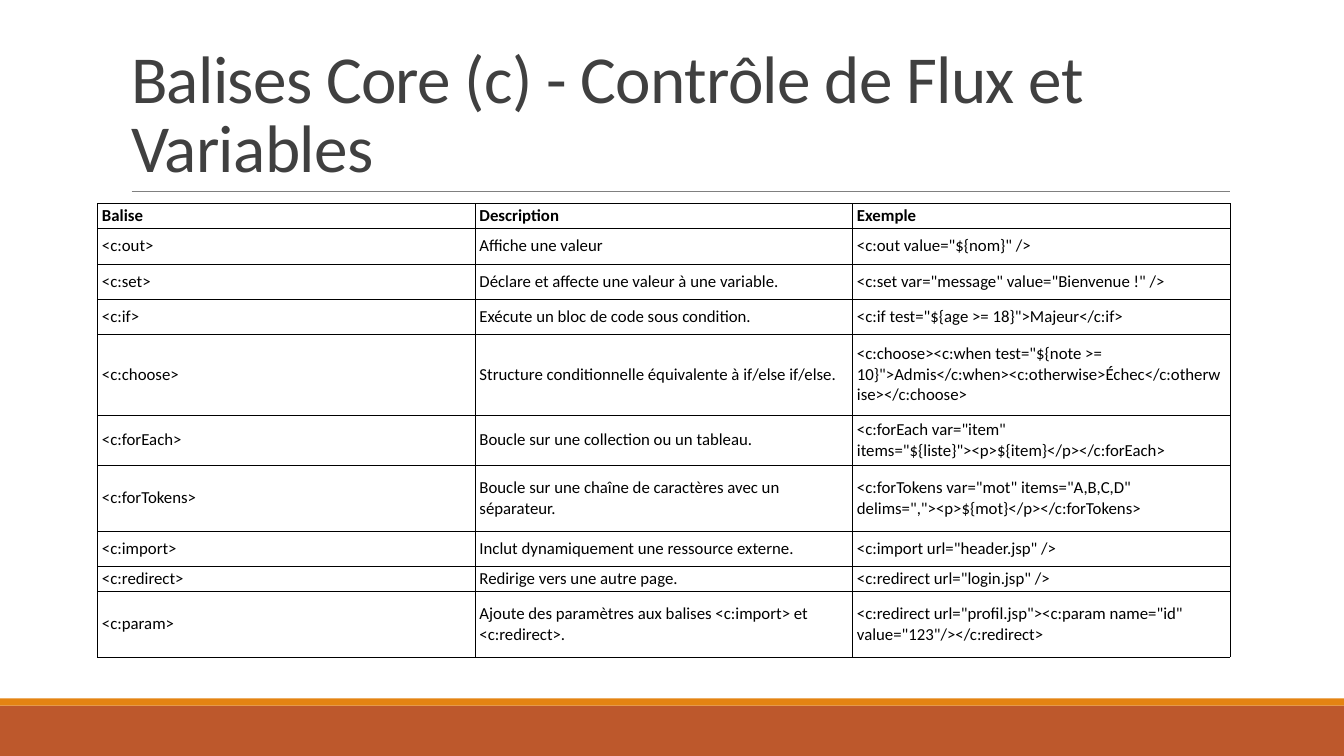
from lxml.etree import SubElement
from pptx import Presentation
from pptx.dml.color import RGBColor
from pptx.enum.shapes import MSO_CONNECTOR as Connector, MSO_SHAPE as Shape
from pptx.enum.text import MSO_ANCHOR as Anchor, MSO_AUTO_SIZE as AutoSize, PP_ALIGN as Align
from pptx.oxml.ns import qn
from pptx.util import Cm, Pt

TAGS = [
    ("Balise", "Description", "Exemple"),
    ("<c:out>", "Affiche une valeur", '<c:out value="${nom}" />'),
    ("<c:set>", "Déclare et affecte une valeur à une variable.",
     '<c:set var="message" value="Bienvenue !" />'),
    ("<c:if>", "Exécute un bloc de code sous condition.",
     '<c:if test="${age >= 18}">Majeur</c:if>'),
    ("<c:choose>", "Structure conditionnelle équivalente à if/else if/else.",
     '<c:choose><c:when test="${note >= 10}">Admis</c:when>'
     "<c:otherwise>Échec</c:otherwise></c:choose>"),
    ("<c:forEach>", "Boucle sur une collection ou un tableau.",
     '<c:forEach var="item" items="${liste}"><p>${item}</p></c:forEach>'),
    ("<c:forTokens>", "Boucle sur une chaîne de caractères avec un séparateur.",
     '<c:forTokens var="mot" items="A,B,C,D" delims=","><p>${mot}</p></c:forTokens>'),
    ("<c:import>", "Inclut dynamiquement une ressource externe.",
     '<c:import url="header.jsp" />'),
    ("<c:redirect>", "Redirige vers une autre page.", '<c:redirect url="login.jsp" />'),
    ("<c:param>", "Ajoute des paramètres aux balises <c:import> et <c:redirect>.",
     '<c:redirect url="profil.jsp"><c:param name="id" value="123"/></c:redirect>'),
]
TAG_HEIGHTS = [0.51, 0.89, 0.89, 0.89, 2.03, 1.27, 1.65, 0.89, 0.51, 1.65]


def color(code):
    return RGBColor.from_string(code)


def apply(target, values):
    for name, value in values.items():
        setattr(target, name, value)


class TagSlide:
    """Draws the elements of one slide in a shared style."""

    font = "Calibri"
    ink = "000000"

    def __init__(self, deck):
        self.slide = deck.slides.add_slide(deck.slide_layouts[5])
        self.shapes = self.slide.shapes

    def style(self, paragraph, size, ink, bold=False):
        apply(paragraph.font, {"name": self.font, "size": Pt(size), "bold": bold})
        paragraph.font.color.rgb = color(ink)

    def band(self, top, height, fill):
        band = self.shapes.add_shape(Shape.RECTANGLE, 0, Cm(top), Cm(33.87), Cm(height))
        band.shadow.inherit = False
        band.fill.solid()
        band.fill.fore_color.rgb = color(fill)
        band.line.fill.background()

    def rule(self, left, right, y, ink, width):
        rule = self.shapes.add_connector(
            Connector.STRAIGHT, Cm(left), Cm(y), Cm(right), Cm(y))
        rule.line.color.rgb = color(ink)
        rule.line.width = Pt(width)
        SubElement(rule._element.spPr, qn("a:effectLst"))

    def title(self, text, left, top, width, height):
        title = self.shapes.title
        apply(title, {"left": Cm(left), "top": Cm(top),
                      "width": Cm(width), "height": Cm(height)})
        apply(title.text_frame, {"text": text, "word_wrap": True,
                                 "auto_size": AutoSize.NONE,
                                 "vertical_anchor": Anchor.BOTTOM})
        heading = title.text_frame.paragraphs[0]
        apply(heading, {"alignment": Align.LEFT, "line_spacing": 0.85})
        self.style(heading, 48, "404040")
        heading.runs[0].font._element.set("spc", "-50")

    def borders(self, cell):
        properties = cell._tc.get_or_add_tcPr()
        for side in ("lnL", "lnR", "lnT", "lnB"):
            edge = SubElement(properties, qn(f"a:{side}"), w=str(Pt(0.25)))
            fill = SubElement(edge, qn("a:solidFill"))
            SubElement(fill, qn("a:srgbClr"), val=self.ink)

    def table(self, rows, heights, left, top, width):
        table = self.shapes.add_table(
            len(rows), len(rows[0]), Cm(left), Cm(top), Cm(width), Cm(sum(heights))).table
        apply(table, {"first_row": False, "horz_banding": False})
        for r, (texts, height) in enumerate(zip(rows, heights)):
            table.rows[r].height = Cm(height)
            for c, text in enumerate(texts):
                cell = table.cell(r, c)
                apply(cell, {"text": text, "vertical_anchor": Anchor.MIDDLE,
                             "margin_left": Cm(0.12), "margin_right": Cm(0.12),
                             "margin_top": Cm(0.06), "margin_bottom": Cm(0.06)})
                self.borders(cell)
                cell.fill.background()
                self.style(cell.text_frame.paragraphs[0], 12, self.ink, bold=r == 0)


def main():
    deck = Presentation()
    apply(deck, {"slide_width": Cm(33.87), "slide_height": Cm(19.05)})
    page = TagSlide(deck)
    page.band(17.78, 1.27, "BD582C")
    page.band(17.6, 0.18, "E48312")
    page.rule(3.32, 31.0, 4.83, "808080", 0.5)
    page.title("Balises Core (c) - Contrôle de Flux et Variables", 3.05, 0.79, 27.94, 4.03)
    page.table(TAGS, TAG_HEIGHTS, 2.45, 5.12, 28.54)
    deck.save("out.pptx")


if __name__ == "__main__":
    main()
